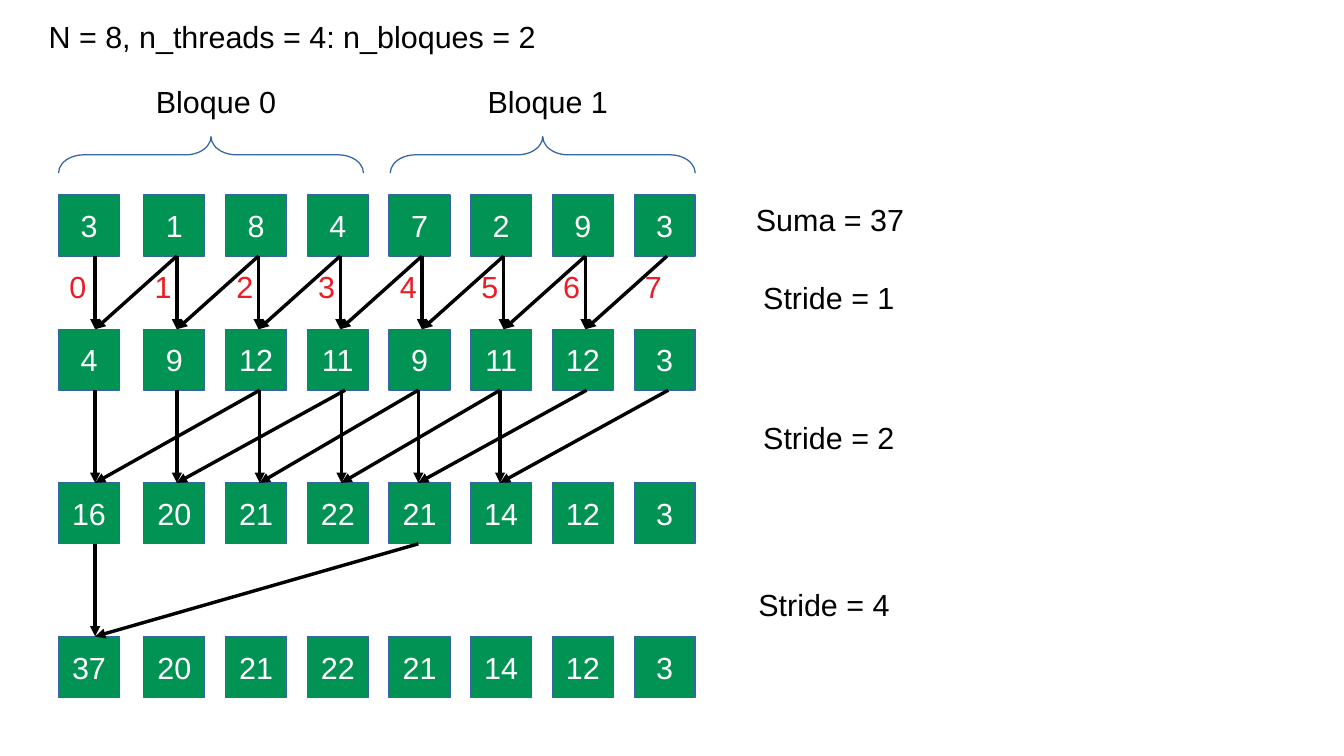
"""Build a slide showing a parallel sum reduction over two blocks of threads."""
from lxml import etree
from pptx import Presentation
from pptx.dml.color import RGBColor
from pptx.enum.shapes import MSO_CONNECTOR, MSO_SHAPE
from pptx.enum.text import MSO_ANCHOR, PP_ALIGN
from pptx.oxml.ns import qn
from pptx.util import Pt

ROWS = [
    (160, (3, 1, 8, 4, 7, 2, 9, 3)),
    (270, (4, 9, 12, 11, 9, 11, 12, 3)),
    (396, (16, 20, 21, 22, 21, 14, 12, 3)),
    (522, (37, 20, 21, 22, 21, 14, 12, 3)),
]
LANES = [78 + 67 * i for i in range(8)]
STEPS = [
    (LANES[:7], LANES[1:]),
    ((78, 145, 213, 280, 343, 410), (213, 283, 343, 410, 481, 548)),
    ((78,), (343,)),
]
LABELS = [
    ("N = 8, n_threads = 4: n_bloques = 2", 30, 10, 420, 50),
    ("Bloque 0", 118, 63, 130, 66),
    ("Bloque 1", 390, 63, 130, 66),
    ("Suma = 37", 610, 160, 200, 38),
    ("Stride = 1", 616, 224, 180, 38),
    ("Stride = 2", 616, 339, 180, 38),
    ("Stride = 4", 612, 476, 180, 38),
]
BRACE_LEFTS = (158, 430)

PX = 9144
CELL = 50
COLUMNS = [48] + [118 + 67 * i for i in range(7)]
FONT = "Arial"
SIZE = Pt(18)
HAIRLINE = 0
GREEN = RGBColor(0x00, 0x93, 0x53)
BLUE = RGBColor(0x34, 0x65, 0xA4)
RED = RGBColor(0xED, 0x1C, 0x24)
BLACK = RGBColor(0, 0, 0)
WHITE = RGBColor(255, 255, 255)
RECTANGLE = MSO_SHAPE.RECTANGLE
BRACE = MSO_SHAPE.LEFT_BRACE
STRAIGHT = MSO_CONNECTOR.STRAIGHT
MIDDLE = MSO_ANCHOR.MIDDLE
CENTER = PP_ALIGN.CENTER


def scaled(*lengths):
    return [length * PX for length in lengths]


def write(frame, text, color):
    frame.text = text
    font = frame.paragraphs[0].runs[0].font
    font.name, font.size = FONT, SIZE
    font.color.rgb = color


def add_label(page, text, left, top, width, height, color=BLACK):
    box = page.shapes.add_textbox(*scaled(left, top, width, height))
    box.text_frame.word_wrap = True
    write(box.text_frame, text, color)


def add_outlined(page, kind, left, top, width, height):
    shape = page.shapes.add_shape(kind, *scaled(left, top, width, height))
    shape.shadow.inherit = False
    shape.line.color.rgb = BLUE
    shape.line.width = HAIRLINE
    return shape


def add_cell(page, value, left, top):
    cell = add_outlined(page, RECTANGLE, left, top, CELL, CELL)
    cell.fill.solid()
    cell.fill.fore_color.rgb = GREEN
    frame = cell.text_frame
    frame.word_wrap = False
    frame.vertical_anchor = MIDDLE
    write(frame, str(value), WHITE)
    frame.paragraphs[0].alignment = CENTER


def add_brace(page, left):
    brace = add_outlined(page, BRACE, left, 2, 30, 250)
    brace.fill.background()
    brace.adjustments[0] = 0.69
    brace.rotation = 90


def add_arrow(page, start_x, start_y, end_x, end_y):
    arrow = page.shapes.add_connector(
        STRAIGHT, *scaled(start_x, start_y, end_x, end_y))
    arrow.line.color.rgb = BLACK
    arrow.line.width = HAIRLINE
    properties = arrow.element.spPr
    outline = properties.find(qn("a:ln"))
    etree.SubElement(outline, qn("a:tailEnd"), type="triangle")
    etree.SubElement(properties, qn("a:effectLst"))


def main():
    deck = Presentation()
    deck.slide_width, deck.slide_height = scaled(1102, 620)
    page = deck.slides.add_slide(deck.slide_layouts[6])
    for left in BRACE_LEFTS:
        add_brace(page, left)
    for top, values in ROWS:
        for left, value in zip(COLUMNS, values):
            add_cell(page, value, left, top)
    for label in LABELS:
        add_label(page, *label)
    for thread, left in enumerate(COLUMNS):
        add_label(page, str(thread), left - 1, 215, 70, 55, RED)
    for (heads, partners), (upper, _), (lower, _) in zip(STEPS, ROWS, ROWS[1:]):
        for head, partner in zip(heads, partners):
            add_arrow(page, head, upper + CELL, head, lower)
            add_arrow(page, partner, upper + CELL, head, lower)
    deck.save("out.pptx")


if __name__ == "__main__":
    main()
